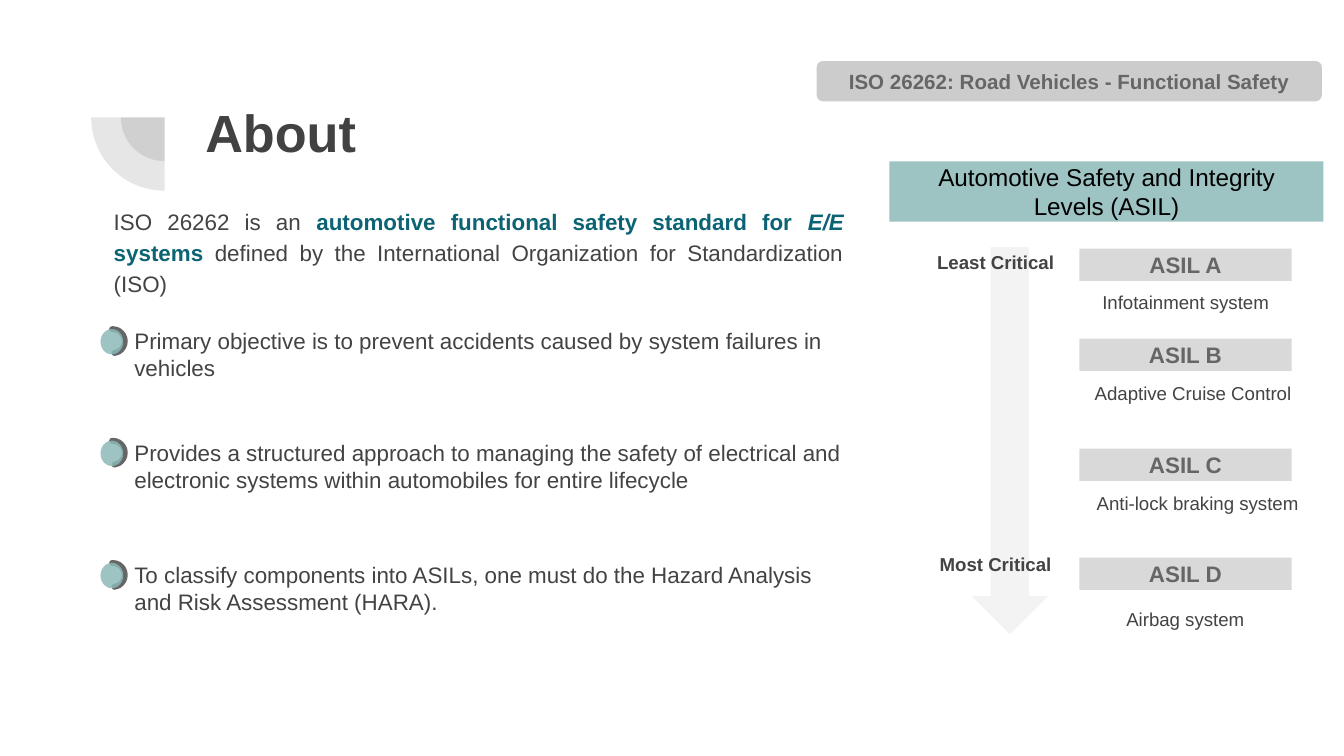
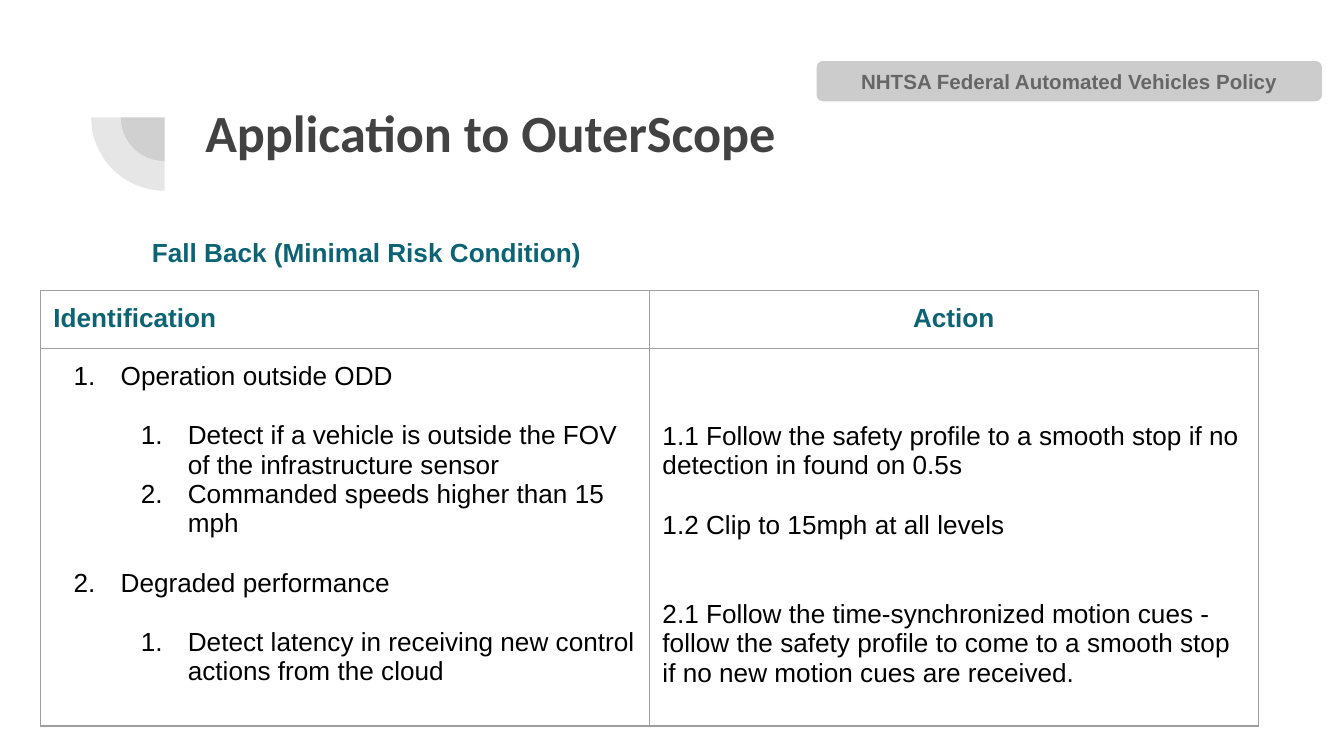
from lxml import etree
from pptx import Presentation
from pptx.dml.color import RGBColor
from pptx.enum.shapes import MSO_SHAPE
from pptx.enum.text import MSO_ANCHOR, PP_ALIGN
from pptx.oxml.ns import qn
from pptx.util import Cm, Pt

PIE, RING, ELLIPSE = MSO_SHAPE.PIE, MSO_SHAPE.BLOCK_ARC, MSO_SHAPE.OVAL
BAR, TAG, ARROW = MSO_SHAPE.RECTANGLE, MSO_SHAPE.ROUNDED_RECTANGLE, MSO_SHAPE.DOWN_ARROW
LEFT, CENTER, JUSTIFY = PP_ALIGN.LEFT, PP_ALIGN.CENTER, PP_ALIGN.JUSTIFY
TOP, MIDDLE = MSO_ANCHOR.TOP, MSO_ANCHOR.MIDDLE

BLACK = RGBColor(0x00, 0x00, 0x00)
WHITE = RGBColor(0xFF, 0xFF, 0xFF)
TITLE_GREY = RGBColor(0x42, 0x42, 0x42)
TEXT_GREY = RGBColor(0x43, 0x43, 0x43)
LABEL_GREY = RGBColor(0x66, 0x66, 0x66)
TAG_GREY = RGBColor(0xCC, 0xCC, 0xCC)
LEVEL_GREY = RGBColor(0xD9, 0xD9, 0xD9)
ARROW_GREY = RGBColor(0xF3, 0xF3, 0xF3)
SAGE = RGBColor(0x8B, 0xB8, 0xB8)
TEAL = RGBColor(0x0B, 0x63, 0x74)
BORDER_GREY = "9E9E9E"

INSET = Cm(0.25)
LINE = 16.1  # height in points of one 14 pt line


def add_shape(shapes, kind, left, top, width, height, color, opacity=100):
    shape = shapes.add_shape(kind, Cm(left), Cm(top), Cm(width), Cm(height))
    shape.shadow.inherit = False
    shape.line.fill.background()
    shape.fill.solid()
    shape.fill.fore_color.rgb = color
    if opacity < 100:
        tint = shape.fill._xPr.find(qn("a:solidFill"))[0]
        etree.SubElement(tint, qn("a:alpha"), val=str(opacity * 1000))
    return shape


def write(box, text, size, color, bold=False, align=LEFT, anchor=TOP, name="Arial"):
    """Fill the first paragraph of a shape and return it."""
    frame = box.text_frame
    frame.word_wrap = True
    frame.vertical_anchor = anchor
    frame.margin_left = frame.margin_right = INSET
    frame.margin_top = frame.margin_bottom = INSET
    para = frame.paragraphs[0]
    para.text = text
    para.alignment = align
    para.font.name, para.font.size, para.font.bold = name, Pt(size), bold
    para.font.color.rgb = color
    return para


deck = Presentation()
deck.slide_width, deck.slide_height = Cm(25.4), Cm(14.29)

# Shared header: quarter circles, title and topic tag
pages = []
for title, title_font, topic in [
    ("About", "Arial", "ISO 26262: Road Vehicles - Functional Safety"),
    ("Application to OuterScope", "Calibri", "NHTSA Federal Automated Vehicles Policy"),
]:
    page = deck.slides.add_slide(deck.slide_layouts[6])
    pages.append(page)
    corner = page.shapes.add_group_shape()
    for diameter in (1.65, 2.77):
        pie = add_shape(corner.shapes, PIE, 3.11 - diameter / 2, 2.22 - diameter / 2,
                        diameter, diameter, TITLE_GREY, 13)
        pie.adjustments[0], pie.adjustments[1] = 107.93, 162
        pie.rotation = 270
    box = page.shapes.add_textbox(Cm(3.63), Cm(1.65), Cm(19.53), Cm(2.77))
    write(box, title, 28, TITLE_GREY, bold=True, name=title_font)
    tag = add_shape(page.shapes, TAG, 15.42, 1.14, 9.58, 0.79, TAG_GREY)
    tag.line.color.rgb, tag.line.width = WHITE, Pt(0.75)
    write(tag, topic, 11, LABEL_GREY, True, CENTER, MIDDLE)

about, application = pages

# About: introduction and objectives
box = about.shapes.add_textbox(Cm(1.9), Cm(4.17), Cm(14.3), Cm(1.14))
para = write(box, "", 12, TEXT_GREY, align=JUSTIFY, anchor=MIDDLE)
para.line_spacing = 1.15
for text, strong, italic in [
    ("ISO 26262 is an ", False, False),
    ("automotive functional safety standard for ", True, False),
    ("E/E", True, True),
    (" systems", True, False),
    (" defined by the International Organization for Standardization (ISO)", False, False),
]:
    span = para.add_run()
    span.text = text
    span.font.bold, span.font.italic = strong, italic
    span.font.color.rgb = TEAL if strong else TEXT_GREY

for top, objective in [
    (5.94, "Primary objective is to prevent accidents caused by system failures in vehicles"),
    (8.05, "Provides a structured approach to managing the safety of electrical and "
           "electronic systems within automobiles for entire lifecycle"),
    (10.36, "To classify components into ASILs, one must do the Hazard Analysis "
            "and Risk Assessment (HARA)."),
]:
    box = about.shapes.add_textbox(Cm(2.29), Cm(top), Cm(13.92), Cm(1.55))
    write(box, objective, 12, TEXT_GREY)
    marker = about.shapes.add_group_shape()
    ring = add_shape(marker.shapes, RING, 1.9, top + 0.28, 0.46, 0.46, SAGE, 84)
    for index, value in enumerate((105.79, 211.26, 0.01)):
        ring.adjustments[index] = value
    ring.rotation = 90
    ring.line.color.rgb, ring.line.width = LABEL_GREY, Pt(3)
    add_shape(marker.shapes, ELLIPSE, 1.9, top + 0.28, 0.43, 0.48, SAGE, 84)

# About: ASIL scale
heading = add_shape(about.shapes, BAR, 16.81, 3.05, 8.2, 1.14, SAGE, 84)
write(heading, "Automotive Safety and Integrity Levels (ASIL)", 13, BLACK,
      align=CENTER, anchor=MIDDLE)
add_shape(about.shapes, ARROW, 18.36, 4.67, 1.45, 7.32, ARROW_GREY)

for level, bar_top, example, left, top, width in [
    ("ASIL A", 4.7, "Infotainment system", 20.4, 5.28, 4.01),
    ("ASIL B", 6.4, "Adaptive Cruise Control", 20.4, 7.01, 4.29),
    ("ASIL C", 8.48, "Anti-lock braking system", 20.19, 9.09, 4.88),
    ("ASIL D", 10.54, "Airbag system", 19.96, 11.28, 4.88),
]:
    bar = add_shape(about.shapes, BAR, 20.4, bar_top, 4.01, 0.61, LEVEL_GREY)
    write(bar, level, 12, LABEL_GREY, True, CENTER, MIDDLE)
    box = about.shapes.add_textbox(Cm(left), Cm(top), Cm(width), Cm(0.94))
    write(box, example, 10, TEXT_GREY, align=CENTER)

for top, label in [(4.52, "Least Critical"), (10.24, "Most Critical")]:
    box = about.shapes.add_textbox(Cm(16.81), Cm(top), Cm(4.01), Cm(0.94))
    write(box, label, 10, TEXT_GREY, True, CENTER)

# Application: fall back table
box = application.shapes.add_textbox(Cm(2.62), Cm(4.22), Cm(20.78), Cm(1.1))
write(box, "Fall Back (Minimal Risk Condition)", 14, TEAL, bold=True)

table = application.shapes.add_table(2, 2, Cm(0.76), Cm(5.49), Cm(23.02), Cm(8.2)).table
table.first_row = table.horz_banding = False
for column in table.columns:
    column.width = Cm(11.51)
table.rows[0].height, table.rows[1].height = Cm(1.06), Cm(7.14)

for cell in table.iter_cells():
    cell.margin_left = cell.margin_right = cell.margin_top = cell.margin_bottom = INSET
    for side in ("a:lnL", "a:lnR", "a:lnT", "a:lnB"):
        border = etree.SubElement(cell._tc.get_or_add_tcPr(), qn(side), w=str(Pt(0.75)))
        paint = etree.SubElement(border, qn("a:solidFill"))
        etree.SubElement(paint, qn("a:srgbClr"), val=BORDER_GREY)
    cell.fill.background()

for column, (text, align) in enumerate([("Identification", LEFT), ("Action", CENTER)]):
    para = table.cell(0, column).text_frame.paragraphs[0]
    para.text, para.alignment = text, align
    para.font.name, para.font.size, para.font.bold = "Arial", Pt(14), True
    para.font.color.rgb = TEAL

# Each entry: text, list level (None for plain text), blank lines before it
identification = [
    ("Operation outside ODD", 0, 0),
    ("Detect if a vehicle is outside the FOV of the infrastructure sensor", 1, 1),
    ("Commanded speeds higher than 15 mph", 1, 0),
    ("Degraded performance", 0, 1),
    ("Detect latency in receiving new control actions from the cloud", 1, 1),
]
action = [
    ("1.1 Follow the safety profile to a smooth stop if no detection in found on 0.5s", None, 0),
    ("1.2 Clip to 15mph at all levels", None, 1),
    ("2.1 Follow the time-synchronized motion cues - follow the safety profile to come "
     "to a smooth stop if no new motion cues are received.", None, 2),
]
table.cell(1, 1).margin_top = INSET + Pt(2 * LINE)
for column, entries in enumerate([identification, action]):
    frame = table.cell(1, column).text_frame
    for index, (text, level, gap) in enumerate(entries):
        para = frame.add_paragraph() if index else frame.paragraphs[0]
        para.text = text
        para.space_before = Pt(gap * LINE)
        if level is not None:
            para.level = level
            layout = para._p.get_or_add_pPr()
            layout.set("marL", str(Cm(1.27 * (level + 1))))
            layout.set("indent", str(-Cm(0.89)))
            tint = etree.SubElement(layout, qn("a:buClr"))
            etree.SubElement(tint, qn("a:srgbClr"), val=str(BLACK))
            etree.SubElement(layout, qn("a:buFont"), typeface="Arial")
            etree.SubElement(layout, qn("a:buAutoNum"), type="arabicPeriod")
        para.font.name, para.font.size, para.font.bold = "Arial", Pt(14), False
        para.font.color.rgb = BLACK

deck.save("out.pptx")
